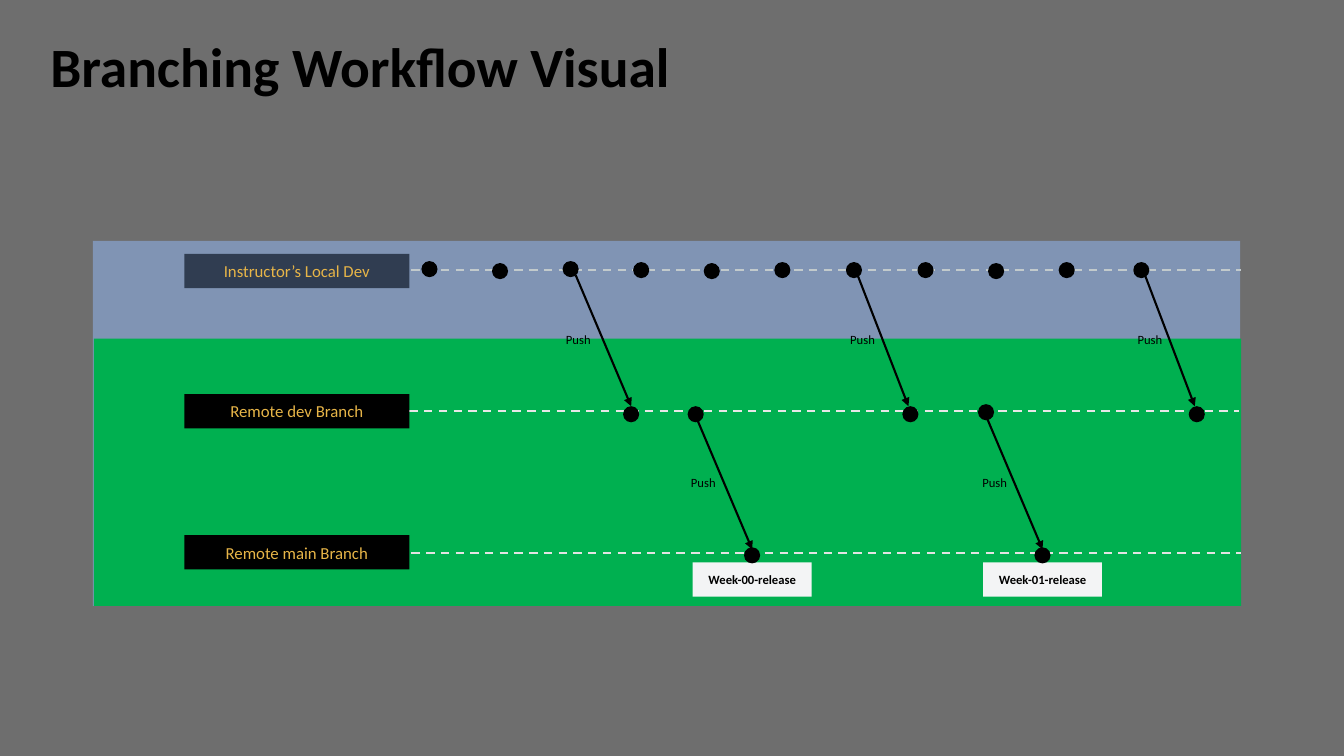
import dataclasses

import lxml.etree
import pptx
import pptx.dml.color
import pptx.enum.dml
import pptx.enum.shapes
import pptx.enum.text
import pptx.oxml.ns
import pptx.util
from pptx.util import Inches


@dataclasses.dataclass(frozen=True)
class Theme:
    """Colours, font and type sizes of the slide."""
    font: str = "Calibri"
    background: str = "6E6E6E"
    ink: str = "000000"
    local_band: str = "8094B4"
    remote_band: str = "00B050"
    local_label: str = "303D51"
    label_text: str = "E7B548"
    release: str = "F3F4F5"
    title_size: float = 39.6
    label_size: float = 12
    small_size: float = 9
    line_width: float = 1.5


THEME = Theme()
DOT_SIZE = 0.16
LABEL_HEIGHT = 0.34

LANES = [
    ("Instructor’s Local Dev", 2.52, THEME.local_label, 4.08, 2.68, "C2CACC"),
    ("Remote dev Branch", 3.91, THEME.ink, 4.06, 4.08, "E7E7E7"),
    ("Remote main Branch", 5.31, THEME.ink, 4.08, 5.49, "E3E3E3"),
]
COMMITS = [
    (4.18, 2.59), (4.88, 2.61), (5.58, 2.59), (6.28, 2.6), (6.98, 2.61), (7.68, 2.6),
    (8.39, 2.6), (9.1, 2.6), (9.8, 2.61), (10.5, 2.6), (11.24, 2.6),
    (6.18, 4.03), (6.82, 4.03), (8.95, 4.03), (9.7, 4.01), (11.79, 4.03),
    (7.38, 5.43), (10.26, 5.43),
]
PUSHES = [
    ((5.71, 2.73), (6.26, 4.03), (5.44, 3.2)),
    ((8.51, 2.74), (9.01, 4.03), (8.26, 3.2)),
    ((11.36, 2.74), (11.85, 4.03), (11.11, 3.2)),
    ((6.91, 4.15), (7.46, 5.45), (6.68, 4.62)),
    ((9.79, 4.15), (10.34, 5.45), (9.57, 4.62)),
]
RELEASES = [("Week-00-release", 6.87), ("Week-01-release", 9.75)]


def rgb(color):
    """Turn a hex string into a colour."""
    return pptx.dml.color.RGBColor.from_string(color)


def write_text(shape, text, size, color, bold=False, alignment=pptx.enum.text.PP_ALIGN.CENTER):
    """Put one formatted, vertically centred paragraph in a shape."""
    frame = shape.text_frame
    frame.text = text
    frame.word_wrap = True
    frame.auto_size = pptx.enum.text.MSO_AUTO_SIZE.NONE
    frame.vertical_anchor = pptx.enum.text.MSO_ANCHOR.MIDDLE
    paragraph = frame.paragraphs[0]
    paragraph.alignment = alignment
    font = paragraph.runs[0].font
    font.name = THEME.font
    font.size = pptx.util.Pt(size)
    font.bold = bold
    font.color.rgb = rgb(color)


def add_filled(shapes, kind, left, top, width, height, color):
    """Add a borderless filled shape."""
    shape = shapes.add_shape(kind, Inches(left), Inches(top), Inches(width), Inches(height))
    shape.shadow.inherit = False
    shape.fill.solid()
    shape.fill.fore_color.rgb = rgb(color)
    shape.line.fill.background()
    return shape


def add_box(shapes, left, top, width, height, color):
    """Add a filled rectangle."""
    return add_filled(shapes, pptx.enum.shapes.MSO_SHAPE.RECTANGLE, left, top, width, height, color)


def add_line(shapes, start, end, color):
    """Add a straight line without a shadow."""
    connector = shapes.add_connector(
        pptx.enum.shapes.MSO_CONNECTOR.STRAIGHT, *map(Inches, (*start, *end)))
    connector.line.color.rgb = rgb(color)
    connector.line.width = pptx.util.Pt(THEME.line_width)
    lxml.etree.SubElement(connector._element.spPr, pptx.oxml.ns.qn("a:effectLst"))
    return connector


def add_push(shapes, start, end, label_position):
    """Add a push arrow and its label."""
    arrow = add_line(shapes, start, end, THEME.ink)
    line_element = arrow.line._get_or_add_ln()
    lxml.etree.SubElement(line_element, pptx.oxml.ns.qn("a:tailEnd"), type="triangle")
    left, top = label_position
    label = shapes.add_textbox(Inches(left), Inches(top), Inches(0.59), Inches(LABEL_HEIGHT))
    write_text(label, "Push", THEME.small_size, THEME.ink)


def add_lane(shapes, name, label_top, label_color, line_left, line_top, line_color):
    """Add a branch label and its dashed timeline."""
    line = add_line(shapes, (line_left, line_top), (line_left + 8.23, line_top), line_color)
    line.line.dash_style = pptx.enum.dml.MSO_LINE.DASH
    label = add_box(shapes, 1.83, label_top, 2.23, LABEL_HEIGHT, label_color)
    write_text(label, name, THEME.label_size, THEME.label_text)


def add_title(slide, text):
    """Place and format the title placeholder."""
    title = slide.shapes.title
    title.left, title.top, title.width, title.height = map(Inches, (0.4, 0.4, 12.49, 0.57))
    write_text(title, text, THEME.title_size, THEME.ink, True, pptx.enum.text.PP_ALIGN.LEFT)
    title.text_frame.paragraphs[0].line_spacing = 0.9


def main():
    """Build and save the slide."""
    presentation = pptx.Presentation()
    presentation.slide_width = Inches(13.33)
    presentation.slide_height = Inches(7.5)
    slide = presentation.slides.add_slide(presentation.slide_layouts[5])
    slide.background.fill.solid()
    slide.background.fill.fore_color.rgb = rgb(THEME.background)
    add_title(slide, "Branching Workflow Visual")

    shapes = slide.shapes.add_group_shape().shapes
    add_box(shapes, 0.92, 2.39, 11.38, 3.62, THEME.local_band)
    add_box(shapes, 0.93, 3.36, 11.38, 2.65, THEME.remote_band)
    for lane in LANES:
        add_lane(shapes, *lane)
    for name, left in RELEASES:
        release = add_box(shapes, left, 5.58, 1.18, LABEL_HEIGHT, THEME.release)
        write_text(release, name, THEME.small_size, THEME.ink, True)
    for push in PUSHES:
        add_push(shapes, *push)
    for left, top in COMMITS:
        add_filled(shapes, pptx.enum.shapes.MSO_SHAPE.OVAL, left, top, DOT_SIZE, DOT_SIZE, THEME.ink)

    presentation.save("out.pptx")


if __name__ == "__main__":
    main()
